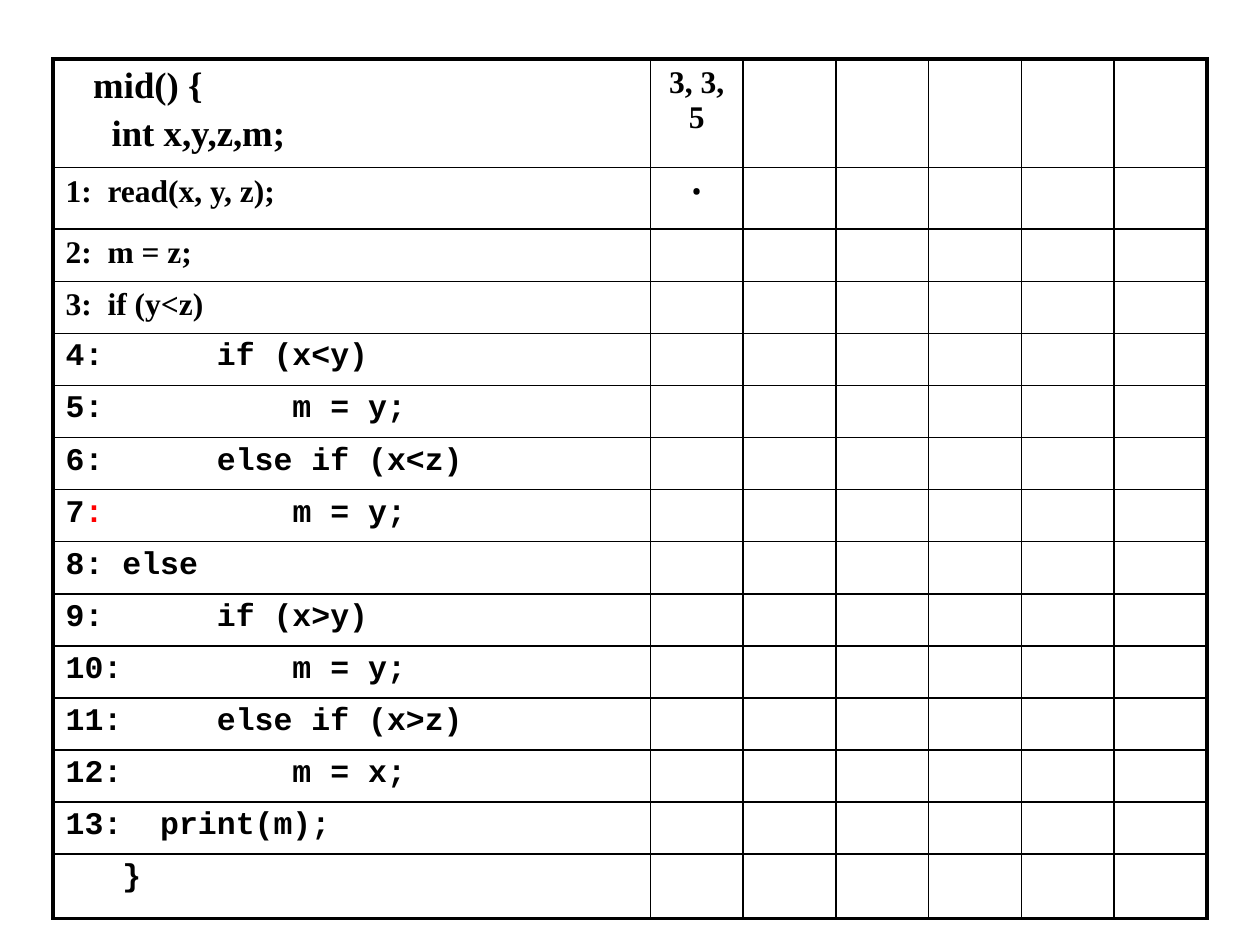
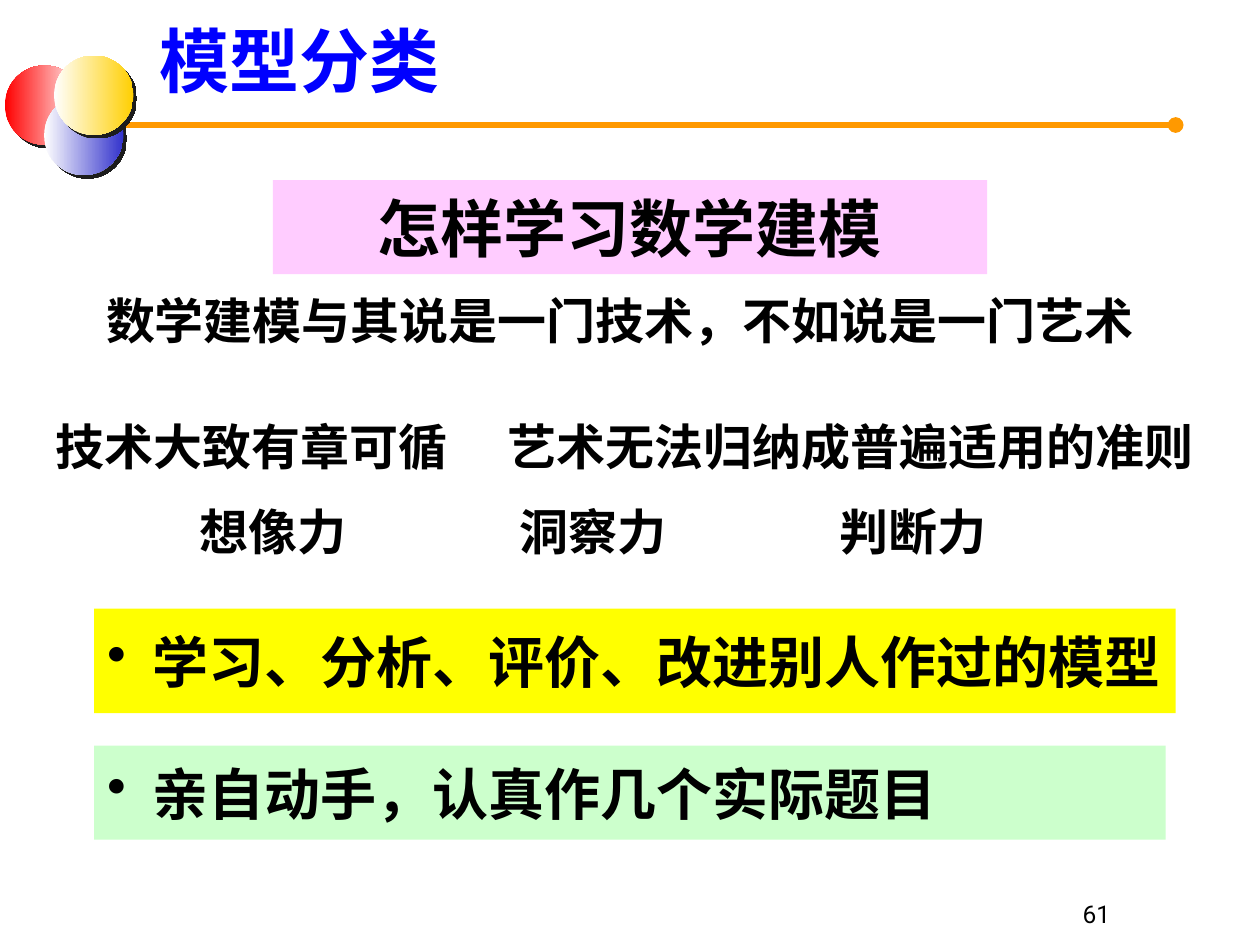
from lxml import etree
from pptx import Presentation
from pptx.dml.color import RGBColor
from pptx.enum.shapes import MSO_CONNECTOR, MSO_SHAPE
from pptx.enum.text import MSO_ANCHOR, PP_ALIGN
from pptx.oxml.ns import qn
from pptx.util import Cm, Pt

LEFT, CENTER, RIGHT = PP_ALIGN.LEFT, PP_ALIGN.CENTER, PP_ALIGN.RIGHT
TOP, MIDDLE, BOTTOM = MSO_ANCHOR.TOP, MSO_ANCHOR.MIDDLE, MSO_ANCHOR.BOTTOM
RECTANGLE, OVAL = MSO_SHAPE.RECTANGLE, MSO_SHAPE.OVAL
STRAIGHT = MSO_CONNECTOR.STRAIGHT

SERIF, MONO, SANS, CHINESE = "Times New Roman", "Courier New", "Roboto", "Noto Sans CJK SC"
BLACK, WHITE, RED, BLUE = "000000", "FFFFFF", "FF0000", "0000FF"
ORANGE, PINK, YELLOW, GREEN = "FF9900", "FFCCFF", "FFFF00", "CCFFCC"

# One entry per row: font and paragraphs; each paragraph is a list of (text, colour) runs
CODE_ROWS = [
    (SERIF, [[("   mid() {", BLACK)], [("     int x,y,z,m;", BLACK)]]),
    *[(SERIF, [[(line, BLACK)]]) for line in (
        "1:  read(x, y, z);", "2:  m = z;", "3:  if (y<z)")],
    *[(MONO, [[(line, BLACK)]]) for line in (
        "4:      if (x<y)", "5:          m = y;", "6:      else if (x<z)")],
    (MONO, [[("7", BLACK), (":          ", RED), ("m = y;", BLACK)]]),
    *[(MONO, [[(line, BLACK)]]) for line in (
        "8: else", "9:      if (x>y)", "10:         m = y;", "11:     else if (x>z)",
        "12:         m = x;", "13:  print(m);", "   }")],
]
ROW_HEIGHTS = [2.19, 1.24] + [1.05] * 12 + [1.3]
COLUMN_WIDTHS = [12.04] + [1.87] * 6


def colour(hex_string):
    return RGBColor.from_string(hex_string)


def add_element(parent, tag, **attributes):
    element = etree.SubElement(parent, qn(tag))
    for name, value in attributes.items():
        element.set(name, str(value))
    return element


def add_solid_fill(parent, hex_string):
    add_element(add_element(parent, "a:solidFill"), "a:srgbClr", val=hex_string)


class Deck:
    """Holds the presentation, its style and the slide being built."""

    def __init__(self):
        self.presentation = Presentation()
        self.presentation.slide_width = Cm(25.4)
        self.presentation.slide_height = Cm(19.05)
        self.slide = None

    def add_slide(self, title=None):
        layout = self.presentation.slide_layouts[5 if title else 6]
        self.slide = self.presentation.slides.add_slide(layout)
        if title:
            shape = self.slide.shapes.title
            shape.left, shape.top, shape.width, shape.height = Cm(2.97), Cm(0.23), Cm(21.87), Cm(1.68)
            self.set_text(shape.text_frame, title, 40, SERIF, LEFT, TOP, BLUE)
            shape.text_frame.margin_left = Cm(0.25)
            shape.text_frame.margin_top = Cm(0.13)

    def style(self, paragraph, size, font_name, align=LEFT, hex_string=BLACK, bold=True):
        paragraph.alignment = align
        font = paragraph.font
        font.size, font.name, font.bold = Pt(size), font_name, bold
        font.color.rgb = colour(hex_string)
        properties = paragraph._p.pPr.find(qn("a:defRPr"))
        add_element(properties, "a:ea", typeface=CHINESE)

    def set_text(self, frame, text, size, font_name, align=CENTER, anchor=MIDDLE,
                 hex_string=BLACK, bold=True, bullet=False):
        frame.word_wrap = True
        frame.vertical_anchor = anchor
        frame.margin_left = frame.margin_right = frame.margin_top = frame.margin_bottom = 0
        frame.text = text
        paragraph = frame.paragraphs[0]
        if bullet:
            properties = paragraph._p.get_or_add_pPr()
            properties.set("marL", str(Cm(1.17)))
            properties.set("indent", str(Cm(-0.91)))
            add_element(properties, "a:buChar", char="•")
        self.style(paragraph, size, font_name, align, hex_string, bold)

    def label(self, text, left, top, width, height, size=28, font_name=SERIF, **options):
        box = self.slide.shapes.add_textbox(Cm(left), Cm(top), Cm(width), Cm(height))
        self.set_text(box.text_frame, text, size, font_name, **options)

    def panel(self, text, left, top, width, height, fill, size=32, **options):
        shape = self.slide.shapes.add_shape(RECTANGLE, Cm(left), Cm(top), Cm(width), Cm(height))
        shape.shadow.inherit = False
        shape.fill.solid()
        shape.fill.fore_color.rgb = colour(fill)
        shape.line.fill.background()
        self.set_text(shape.text_frame, text, size, CHINESE, **options)

    def title_rule(self):
        rule = self.slide.shapes.add_connector(STRAIGHT, Cm(1.3), Cm(2.52), Cm(23.7), Cm(2.52))
        rule.line.color.rgb = colour(ORANGE)
        rule.line.width = Pt(3)
        properties = rule._element.spPr
        outline = properties.find(qn("a:ln"))
        add_element(outline, "a:headEnd", type="oval")
        add_element(outline, "a:tailEnd", type="oval")
        add_element(properties, "a:effectLst")

    def balls(self):
        group = self.slide.shapes.add_group_shape()
        for left, top, start, end in ((0.1, 1.32, RED, WHITE),
                                      (0.89, 1.93, WHITE, "3333CC"),
                                      (1.09, 1.12, WHITE, "FFCF01")):
            ball = group.shapes.add_shape(OVAL, Cm(left), Cm(top), Cm(1.6), Cm(1.6))
            ball.line.fill.background()
            ball.fill.gradient()
            ball.fill.gradient_angle = 0
            for stop, hex_string in zip(ball.fill.gradient_stops, (start, end)):
                stop.color.rgb = colour(hex_string)
            ball.shadow.inherit = False
            effects = ball._element.spPr.find(qn("a:effectLst"))
            shadow = add_element(effects, "a:outerShdw", dist=Pt(2.8), dir=45 * 60000)
            add_element(shadow, "a:srgbClr", val="1C1C1C")

    def grid(self, left, top, widths, heights):
        """Add a white table with thin inner lines and a thick frame."""
        shape = self.slide.shapes.add_table(len(heights), len(widths), Cm(left), Cm(top),
                                            Cm(sum(widths)), Cm(sum(heights)))
        table = shape.table
        table.first_row = table.horz_banding = False
        for column, width in zip(table.columns, widths):
            column.width = Cm(width)
        for row, height in zip(table.rows, heights):
            row.height = Cm(height)
        last_row, last_column = len(heights) - 1, len(widths) - 1
        for row in range(len(heights)):
            for column in range(len(widths)):
                cell = table.cell(row, column)
                properties = cell._tc.get_or_add_tcPr()
                for tag, on_frame in (("a:lnL", column == 0), ("a:lnR", column == last_column),
                                      ("a:lnT", row == 0), ("a:lnB", row == last_row)):
                    border = add_element(properties, tag, w=Pt(2.25 if on_frame else 1))
                    add_solid_fill(border, BLACK)
                cell.fill.solid()
                cell.fill.fore_color.rgb = colour(WHITE)
        return table

    def code_cell(self, cell, paragraphs, size, font_name):
        for index, runs in enumerate(paragraphs):
            frame = cell.text_frame
            paragraph = frame.add_paragraph() if index else frame.paragraphs[0]
            if index:
                paragraph.space_before = Pt(size * 0.2)
            self.style(paragraph, size, font_name)
            for text, hex_string in runs:
                run = paragraph.add_run()
                run.text = text
                if hex_string != BLACK:
                    run.font.color.rgb = colour(hex_string)


def build_trace_slide(deck):
    deck.add_slide()
    table = deck.grid(1.07, 1.19, COLUMN_WIDTHS, ROW_HEIGHTS)
    for row, (font_name, paragraphs) in enumerate(CODE_ROWS):
        deck.code_cell(table.cell(row, 0), paragraphs, 18 if row else 21, font_name)
    test_input, first_mark = table.cell(0, 1), table.cell(1, 1)
    test_input.text = "3, 3, 5"
    test_input._tc.get_or_add_tcPr().set("vert", "eaVert")
    deck.style(test_input.text_frame.paragraphs[0], 18, SERIF, CENTER)
    first_mark.text = "•"
    deck.style(first_mark.text_frame.paragraphs[0], 18, SANS, CENTER, bold=False)


def build_modelling_slide(deck):
    deck.add_slide("模型分类")
    deck.title_rule()
    deck.balls()
    deck.panel("怎样学习数学建模", 5.5, 3.63, 14.4, 1.9, PINK, size=36)
    deck.label("数学建模与其说是一门技术，不如说是一门艺术", 1.7, 5.49, 21.59, 1.9)
    deck.label("技术大致有章可循", 0.84, 8.03, 8.46, 1.9)
    deck.label("艺术无法归纳成普遍适用的准则", 10.16, 8.03, 13.97, 1.9)
    for index, ability in enumerate(("想像力", "洞察力", "判断力")):
        deck.label(ability, 3.18 + 6.45 * index, 9.96, 4.65, 1.47)
    deck.panel("学习、分析、评价、改进别人作过的模型", 1.9, 12.27, 21.8, 2.11, YELLOW,
               align=LEFT, bullet=True)
    deck.panel("亲自动手，认真作几个实际题目", 1.9, 15.03, 21.6, 1.9, GREEN,
               align=LEFT, bullet=True)
    deck.label("61", 17.35, 17.45, 5.03, 1.27, size=14, font_name=SANS,
               align=RIGHT, anchor=BOTTOM, bold=False)


def main():
    deck = Deck()
    build_trace_slide(deck)
    build_modelling_slide(deck)
    deck.presentation.save("out.pptx")


if __name__ == "__main__":
    main()
